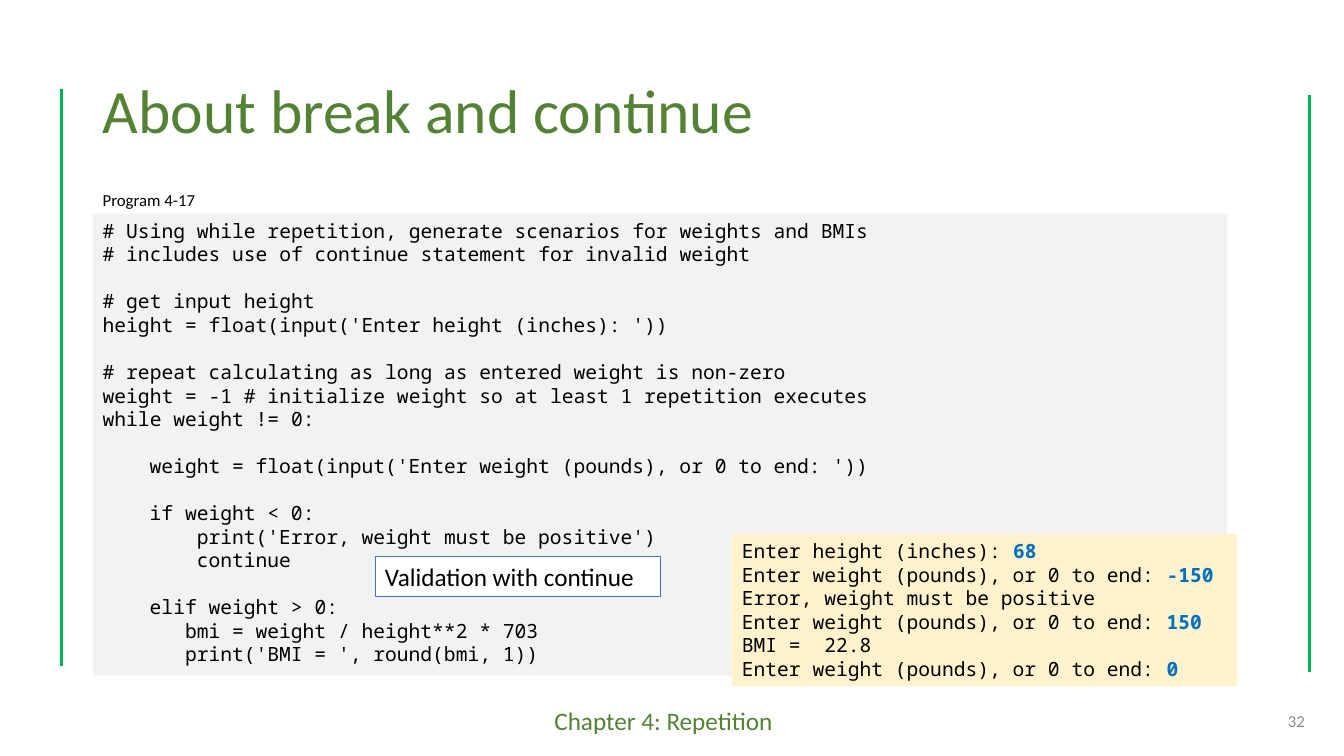
from dataclasses import dataclass
from typing import Any

from pptx import Presentation
from pptx.dml.color import RGBColor
from pptx.enum.shapes import MSO_CONNECTOR, MSO_SHAPE
from pptx.enum.text import MSO_ANCHOR, MSO_AUTO_SIZE, PP_ALIGN
from pptx.oxml.ns import qn
from pptx.slide import Slide
from pptx.text.text import TextFrame
from pptx.util import Inches, Pt

GREEN = "548235"
RULE_GREEN = "00B050"
BLACK = "000000"
ENTRY_BLUE = "0070C0"
MONO = "Noto Sans Mono"
SANS = "Calibri"
CODE_SIZE = 14
CODE_LINE_POINTS = 16.8
CODE_CHARACTER_POINTS = 8.4

PROGRAM = """\
# Using while repetition, generate scenarios for weights and BMIs
# includes use of continue statement for invalid weight

# get input height
height = float(input('Enter height (inches): '))

# repeat calculating as long as entered weight is non-zero
weight = -1 # initialize weight so at least 1 repetition executes
while weight != 0:

    weight = float(input('Enter weight (pounds), or 0 to end: '))

    if weight < 0:
        print('Error, weight must be positive')
        continue

    elif weight > 0:
       bmi = weight / height**2 * 703
       print('BMI = ', round(bmi, 1))"""


@dataclass(frozen=True)
class Line:
    text: str
    entry: str = ""
    indent: int = 0
    gap: int = 0


@dataclass(frozen=True)
class Panel:
    left: float
    top: float
    width: float
    height: float
    lines: list[Line]
    font: str = SANS
    size: int = 18
    color: str = BLACK
    fill: str = ""
    border: str = ""
    align: PP_ALIGN = PP_ALIGN.LEFT
    anchor: MSO_ANCHOR = MSO_ANCHOR.TOP


@dataclass(frozen=True)
class SideRule:
    x: float
    top: float
    bottom: float


def program_lines(source: str) -> list[Line]:
    lines: list[Line] = []
    gap = 0
    for row in source.splitlines():
        text = row.lstrip()
        if text:
            lines.append(Line(text, indent=len(row) - len(text), gap=gap))
        gap = 0 if text else gap + 1
    return lines


PROMPT = "Enter weight (pounds), or 0 to end: "
SESSION = [
    Line("Enter height (inches): ", "68"),
    Line(PROMPT, "-150"),
    Line("Error, weight must be positive"),
    Line(PROMPT, "150"),
    Line("BMI =  22.8"),
    Line(PROMPT, "0"),
]

SIDE_RULES = [SideRule(0.61, 0.88, 6.61), SideRule(12.99, 0.94, 6.67)]

PANELS = [
    Panel(5.4, 6.95, 2.53, 0.4, [Line("Chapter 4: Repetition")], color=GREEN),
    Panel(10.04, 6.95, 3, 0.4, [Line("32")], size=12, color="8C8C8C",
          align=PP_ALIGN.RIGHT, anchor=MSO_ANCHOR.MIDDLE),
    Panel(0.92, 2.12, 11.25, 4.58, program_lines(PROGRAM),
          font=MONO, size=CODE_SIZE, fill="F2F2F2"),
    Panel(7.26, 5.3, 5.01, 1.51, SESSION,
          font=MONO, size=CODE_SIZE, fill="FFF2CC"),
    Panel(0.92, 1.83, 2.03, 0.3, [Line("Program 4-17")], size=12),
    Panel(3.72, 5.52, 2.83, 0.4, [Line("Validation with continue")],
          fill="FFFFFF", border="4472C4"),
]


def rgb(value: str) -> RGBColor:
    return RGBColor.from_string(value)


def apply(target: Any, values: dict[str, Any]) -> None:
    for name, value in values.items():
        setattr(target, name, value)


def write_lines(frame: TextFrame, panel: Panel) -> None:
    for index, line in enumerate(panel.lines):
        paragraph = frame.add_paragraph() if index else frame.paragraphs[0]
        apply(paragraph, {"alignment": panel.align,
                          "space_before": Pt(line.gap * CODE_LINE_POINTS)})
        if line.indent:
            margin = Pt(line.indent * CODE_CHARACTER_POINTS)
            paragraph._p.get_or_add_pPr().set("marL", str(margin))
        for text, color, bold in ((line.text, panel.color, False),
                                  (line.entry, ENTRY_BLUE, True)):
            if text:
                run = paragraph.add_run()
                run.text = text
                apply(run.font, {"name": panel.font, "size": Pt(panel.size), "bold": bold})
                run.font.color.rgb = rgb(color)


def draw_panel(slide: Slide, panel: Panel) -> None:
    box = [Inches(value) for value in (panel.left, panel.top, panel.width, panel.height)]
    if panel.fill:
        shape = slide.shapes.add_shape(MSO_SHAPE.RECTANGLE, *box)
        shape.shadow.inherit = False
        shape.fill.solid()
        shape.fill.fore_color.rgb = rgb(panel.fill)
        if panel.border:
            shape.line.color.rgb = rgb(panel.border)
            shape.line.width = Pt(0.75)
        else:
            shape.line.fill.background()
    else:
        shape = slide.shapes.add_textbox(*box)
    apply(shape.text_frame, {"word_wrap": True, "auto_size": MSO_AUTO_SIZE.NONE,
                             "vertical_anchor": panel.anchor})
    write_lines(shape.text_frame, panel)


def draw_side_rule(slide: Slide, rule: SideRule) -> None:
    connector = slide.shapes.add_connector(
        MSO_CONNECTOR.STRAIGHT, Inches(rule.x), Inches(rule.top),
        Inches(rule.x), Inches(rule.bottom))
    connector.line.color.rgb = rgb(RULE_GREEN)
    connector.line.width = Pt(2.25)
    properties = connector._element.spPr
    properties.append(properties.makeelement(qn("a:effectLst"), {}))


def write_title(slide: Slide) -> None:
    title = slide.shapes.title
    apply(title, {"left": Inches(0.92), "top": Inches(0.4),
                  "width": Inches(11.5), "height": Inches(1.45)})
    title.text_frame.text = "About break and continue"
    apply(title.text_frame, {"word_wrap": True, "auto_size": MSO_AUTO_SIZE.NONE,
                             "vertical_anchor": MSO_ANCHOR.MIDDLE})
    paragraph = title.text_frame.paragraphs[0]
    apply(paragraph, {"alignment": PP_ALIGN.LEFT, "line_spacing": 0.9})
    font = paragraph.runs[0].font
    apply(font, {"name": SANS, "size": Pt(44)})
    font.color.rgb = rgb(GREEN)


def main() -> None:
    presentation = Presentation()
    apply(presentation, {"slide_width": Inches(13.33), "slide_height": Inches(7.5)})
    slide = presentation.slides.add_slide(presentation.slide_layouts.get_by_name("Title Only"))
    write_title(slide)
    for rule in SIDE_RULES:
        draw_side_rule(slide, rule)
    for panel in PANELS:
        draw_panel(slide, panel)
    presentation.save("out.pptx")


if __name__ == "__main__":
    main()
